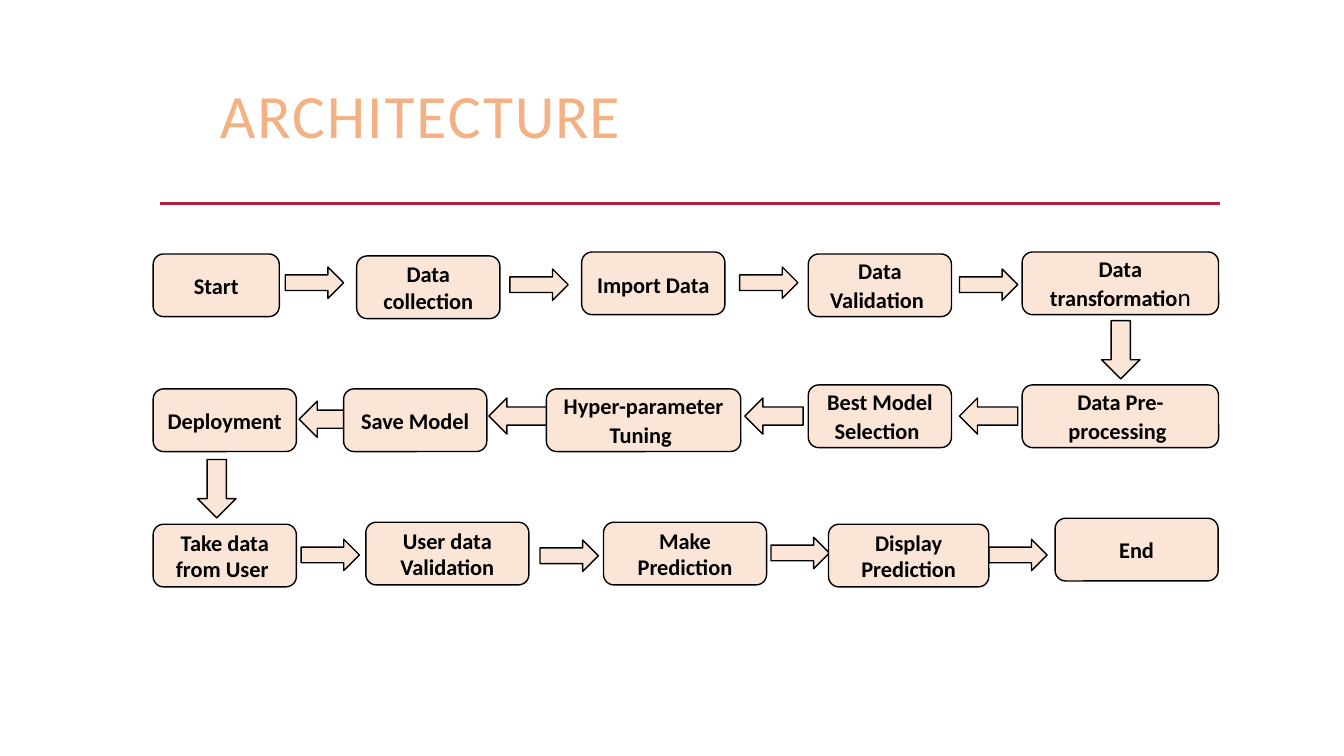
from pptx import Presentation
from pptx.dml.color import RGBColor
from pptx.enum.shapes import MSO_CONNECTOR, MSO_SHAPE
from pptx.enum.text import MSO_ANCHOR as Anchor, PP_ALIGN as Align
from pptx.oxml.ns import qn
from pptx.util import Cm, Pt
from lxml import etree

PEACH = RGBColor(0xFB, 0xE5, 0xD6)
ORANGE = RGBColor(0xF4, 0xB1, 0x83)
CRIMSON = RGBColor(0xB7, 0x1E, 0x42)
BLACK = RGBColor(0, 0, 0)
FONT = "Calibri"

STEP_HEIGHT = 1.58
ARROW_SIZES = {
    MSO_SHAPE.RIGHT_ARROW: (1.47, 0.79),
    MSO_SHAPE.LEFT_ARROW: (1.47, 0.91),
    MSO_SHAPE.DOWN_ARROW: (0.97, 1.47),
}

# Offsets in cm from the row's corner.
# Steps: x, y, width, bold text, larger ending; arrows: x, y.
COLLECT_STEPS = [
    (0, 0.05, 3.18, "Start", ""),
    (5.13, 0.1, 3.61, "Data collection", ""),
    (10.8, 0, 3.61, "Import Data", " "),
    (16.51, 0.05, 3.61, "Data Validation", " "),
    (21.9, 0, 4.95, "Data transformatio", "n"),
]
COLLECT_ARROWS = [(3.33, 0.38), (8.99, 0.43), (14.78, 0.38), (20.32, 0.43)]

MODEL_STEPS = [
    (21.9, 0, 4.95, "Data Pre-processing", " "),
    (16.51, 0, 3.61, "Best Model Selection", " "),
    (9.91, 0.1, 4.9, "Hyper-parameter Tuning", " "),
    (4.8, 0.1, 3.61, "Save Model", ""),
    (0, 0.1, 3.61, "Deployment", ""),
]
MODEL_ARROWS = [(20.32, 0.33), (14.91, 0.33), (8.46, 0.33), (3.68, 0.41)]

PREDICT_STEPS = [
    (0, 0.15, 3.61, "Take data from User ", ""),
    (5.36, 0.1, 4.11, "User data Validation", ""),
    (11.35, 0.1, 4.11, "Make Prediction", ""),
    (17.02, 0.15, 4.04, "Display Prediction", ""),
    (22.73, 0, 4.11, "End", ""),
]
PREDICT_ARROWS = [(3.73, 0.53), (9.75, 0.55), (15.57, 0.48), (21.06, 0.53)]


def add_block(slide, kind, left, top, width, height):
    shape = slide.shapes.add_shape(kind, Cm(left), Cm(top), Cm(width), Cm(height))
    shape.shadow.inherit = False
    shape.fill.solid()
    shape.fill.fore_color.rgb = PEACH
    shape.line.color.rgb = BLACK
    shape.line.width = Pt(1)
    return shape


def add_arrow(slide, kind, left, top):
    add_block(slide, kind, left, top, *ARROW_SIZES[kind])


def add_step(slide, left, top, width, text, ending):
    """Add a rounded step; its ending is larger and not bold."""
    shape = add_block(slide, MSO_SHAPE.ROUNDED_RECTANGLE,
                      left, top, width, STEP_HEIGHT)
    frame = shape.text_frame
    frame.word_wrap = True
    frame.vertical_anchor = Anchor.MIDDLE
    paragraph = frame.paragraphs[0]
    paragraph.alignment = Align.CENTER
    for part, size, bold in ((text, 16, True), (ending, 18, False)):
        if part:
            run = paragraph.add_run()
            run.text = part
            run.font.name = FONT
            run.font.size = Pt(size)
            run.font.bold = bold
            run.font.color.rgb = BLACK


def add_row(slide, left, top, arrow_kind, arrows, steps):
    for x, y in arrows:
        add_arrow(slide, arrow_kind, left + x, top + y)
    for x, y, width, text, ending in steps:
        add_step(slide, left + x, top + y, width, text, ending)


def add_flow(slide, left, top):
    right, down = MSO_SHAPE.RIGHT_ARROW, MSO_SHAPE.DOWN_ARROW
    add_row(slide, left, top, right, COLLECT_ARROWS, COLLECT_STEPS)
    add_arrow(slide, down, left + 23.9, top + 1.73)
    add_row(slide, left, top + 3.35, MSO_SHAPE.LEFT_ARROW, MODEL_ARROWS, MODEL_STEPS)
    add_arrow(slide, down, left + 1.12, top + 5.23)
    add_row(slide, left, top + 6.71, right, PREDICT_ARROWS, PREDICT_STEPS)


def add_heading(slide, left, top, width, height):
    """Format the title and draw the rule below it."""
    title = slide.shapes.title
    title.left, title.top = Cm(left), Cm(top)
    title.width, title.height = Cm(width), Cm(height)
    frame = title.text_frame
    frame.word_wrap = True
    frame.vertical_anchor = Anchor.MIDDLE
    frame.margin_left = frame.margin_right = frame.margin_bottom = 0
    frame.margin_top = Cm(0.03)
    paragraph = frame.paragraphs[0]
    paragraph.alignment = Align.LEFT
    paragraph.space_before = Pt(1.1)
    properties = paragraph._p.get_or_add_pPr()
    properties.set("marL", str(Cm(3.2)))
    properties.set("indent", "0")
    for text, spacing in (("ARCHITEC", 140), ("T", 130), ("URE", 50)):
        run = paragraph.add_run()
        run.text = text
        run.font.name = FONT
        run.font.size = Pt(44)
        run.font.color.rgb = ORANGE
        run._r.get_or_add_rPr().set("spc", str(spacing))

    rule_left, rule_top = Cm(left + 1.7), Cm(top + 3.23)
    rule = slide.shapes.add_connector(MSO_CONNECTOR.STRAIGHT, rule_left, rule_top,
                                      rule_left + Cm(26.7), rule_top)
    rule.line.color.rgb = CRIMSON
    rule.line.width = Pt(2.5)
    etree.SubElement(rule._element.spPr, qn("a:effectLst"))


def main():
    presentation = Presentation()
    presentation.slide_width, presentation.slide_height = Cm(33.87), Cm(19.05)
    slide = presentation.slides.add_slide(presentation.slide_layouts[5])
    add_heading(slide, 2.34, 1.9, 29.21, 1.93)
    add_flow(slide, 3.86, 6.35)
    presentation.save("out.pptx")


if __name__ == "__main__":
    main()
